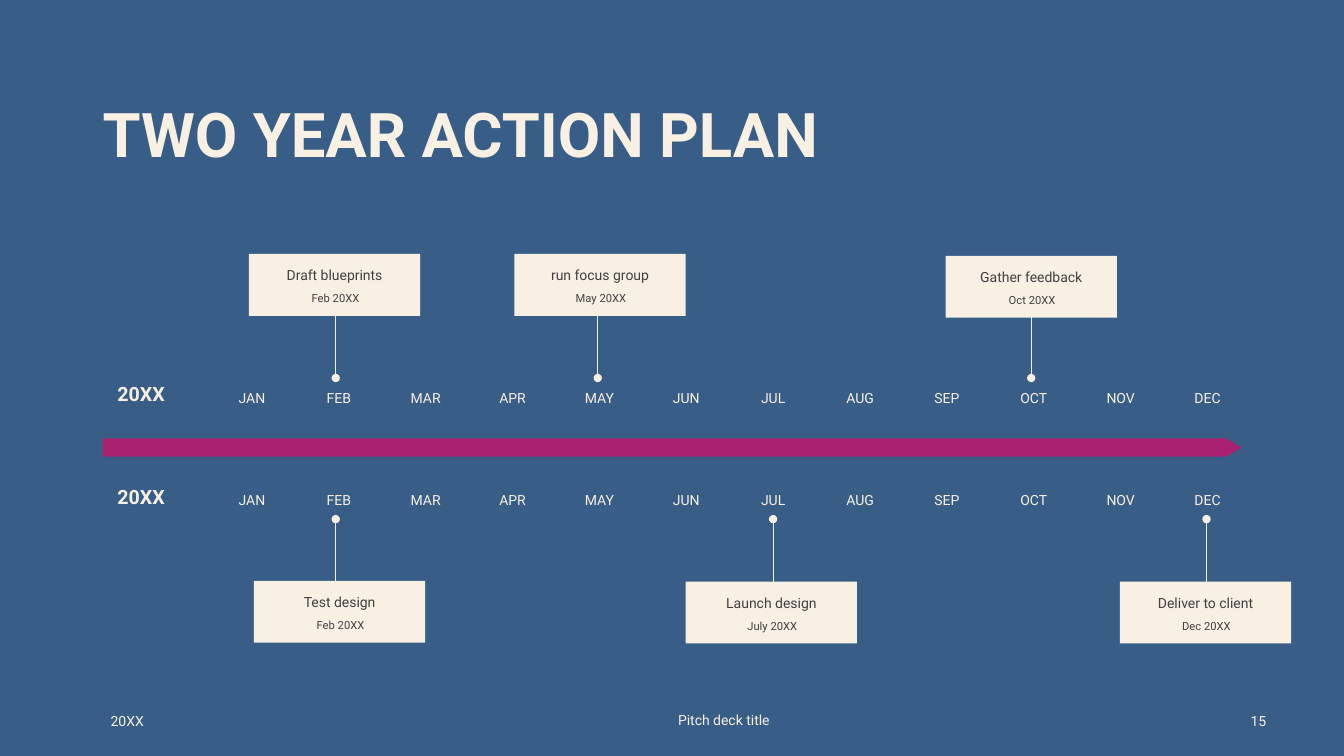
"""Builds the two year action plan timeline slide."""
import lxml.etree
import pptx
import pptx.dml.color
import pptx.enum.shapes
import pptx.enum.text
import pptx.oxml.ns
import pptx.util

Pt = pptx.util.Pt
ALIGN = pptx.enum.text.PP_ALIGN
ANCHOR = pptx.enum.text.MSO_ANCHOR
SHAPE = pptx.enum.shapes.MSO_SHAPE

MONTHS = "JAN FEB MAR APR MAY JUN JUL AUG SEP OCT NOV DEC".split()
MONTH_LEFT, MONTH_STEP = 154.8, 62.05
CARD_WIDTH, CARD_HEIGHT = 122.4, 44.2

YEARS = [
    {"label_top": 264.4, "month_top": 275.8, "stem": (212.4, 270), "milestones": [
        ("Draft blueprints", "Feb 20XX", 177.8, 181.4, 239.8),
        ("run focus group", "May 20XX", 367.4, 181.4, 427),
        ("Gather feedback", "Oct 20XX", 675.4, 182.7, 736.6)]},
    {"label_top": 337.6, "month_top": 348.6, "stem": (428.4, 370.8), "milestones": [
        ("Test design", "Feb 20XX", 181.4, 414.9, 239.8),
        ("Launch design", "July 20XX", 489.8, 415.4, 552.2),
        ("Deliver to client", "Dec 20XX", 799.9, 415.4, 861.8)]},
]


def color(hex_string):
    return pptx.dml.color.RGBColor.from_string(hex_string)


class TimelineSlide:
    font = "Roboto"
    background, cream, dark, magenta = "385E88", "F8F0E3", "404040", "AA2070"

    def __init__(self, presentation):
        self.slide = presentation.slides.add_slide(presentation.slide_layouts[6])
        fill = self.slide.background.fill
        fill.solid()
        fill.fore_color.rgb = color(self.background)

    def set_text(self, shape, text, size, ink, align, anchor, spacing, bold=False):
        frame = shape.text_frame
        frame.word_wrap = True
        frame.vertical_anchor = anchor
        frame.text = text
        paragraph = frame.paragraphs[0]
        paragraph.alignment = align
        paragraph.line_spacing = spacing
        font = paragraph.runs[0].font
        font.name, font.size, font.bold = self.font, Pt(size), bold
        font.color.rgb = color(ink)

    def text(self, text, left, top, width, height, size=10, ink=cream,
             align=ALIGN.CENTER, anchor=ANCHOR.TOP, spacing=0.9, bold=False):
        box = self.slide.shapes.add_textbox(Pt(left), Pt(top), Pt(width), Pt(height))
        self.set_text(box, text, size, ink, align, anchor, spacing, bold)

    def block(self, kind, left, top, width, height, fill):
        shape = self.slide.shapes.add_shape(kind, Pt(left), Pt(top), Pt(width), Pt(height))
        shape.shadow.inherit = False
        shape.fill.solid()
        shape.fill.fore_color.rgb = color(fill)
        shape.line.fill.background()
        return shape

    def arrow(self, left, top, width, height):
        shape = self.block(SHAPE.RIGHT_ARROW, left, top, width, height, self.magenta)
        shape.adjustments[0] = 1
        shape.adjustments[1] = 0.86

    def stem(self, x, start, end):
        connector = self.slide.shapes.add_connector(
            pptx.enum.shapes.MSO_CONNECTOR.STRAIGHT, Pt(x), Pt(start), Pt(x), Pt(end))
        connector.line.width = Pt(0.5)
        connector.line.color.rgb = color(self.cream)
        qn = pptx.oxml.ns.qn
        properties = connector.element.spPr
        lxml.etree.SubElement(properties.find(qn("a:ln")), qn("a:tailEnd"), type="oval")
        lxml.etree.SubElement(properties, qn("a:effectLst"))

    def card(self, name, date, left, top):
        shape = self.block(SHAPE.RECTANGLE, left, top, CARD_WIDTH, CARD_HEIGHT, self.cream)
        shape.text_frame.margin_top = Pt(2.9)
        self.set_text(shape, name, 10, self.dark, ALIGN.CENTER, ANCHOR.TOP, 1.5)
        self.text(date, left + 4.3, top + 24.5, 115.2, 18, size=8, ink=self.dark)

    def year(self, label_top, month_top, stem, milestones):
        self.text("20XX", 72, label_top, 57.6, 36, size=14, anchor=ANCHOR.MIDDLE, bold=True)
        for index, month in enumerate(MONTHS):
            self.text(month, MONTH_LEFT + index * MONTH_STEP, month_top, 50.4, 15.8)
        for name, date, left, top, x in milestones:
            self.stem(x, *stem)
            self.card(name, date, left, top)

    def footer(self, text, left, top, width, align):
        self.text(text, left, top, width, 28.8, align=align, anchor=ANCHOR.MIDDLE, spacing=1.0)


def main():
    presentation = pptx.Presentation()
    presentation.slide_width, presentation.slide_height = Pt(960), Pt(540)
    timeline = TimelineSlide(presentation)
    timeline.arrow(73.4, 313.2, 813.6, 13)
    timeline.text("TWO YEAR ACTION PLAN", 66.2, 70.6, 828, 104.4,
                  size=44, align=ALIGN.LEFT, bold=True)
    for year in YEARS:
        timeline.year(**year)
    timeline.footer("20XX", 72, 500.4, 86.4, ALIGN.LEFT)
    timeline.footer("Pitch deck title", 427, 499.7, 180, ALIGN.CENTER)
    timeline.footer("15", 875.5, 500.4, 36, ALIGN.RIGHT)
    presentation.save("out.pptx")


if __name__ == "__main__":
    main()
